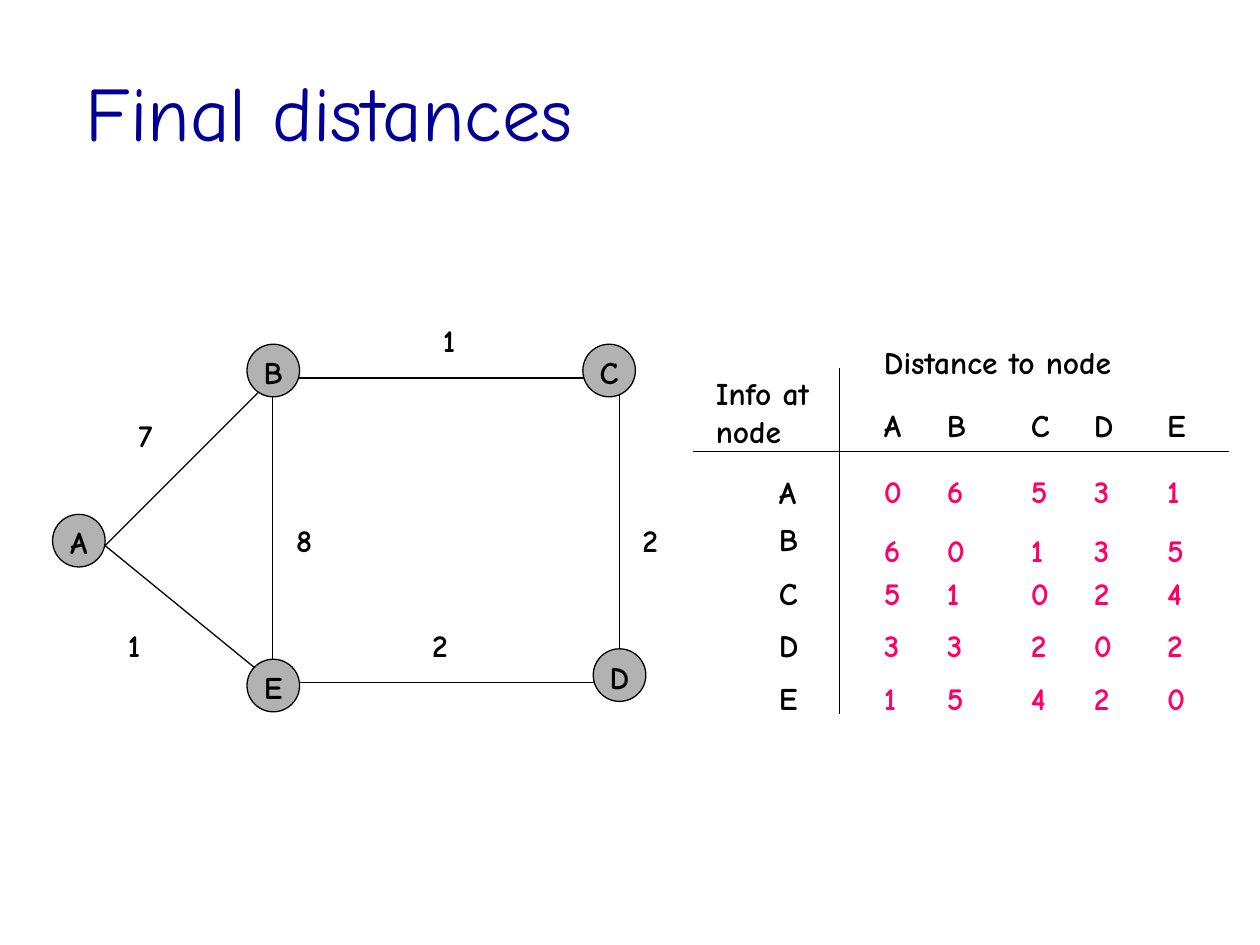
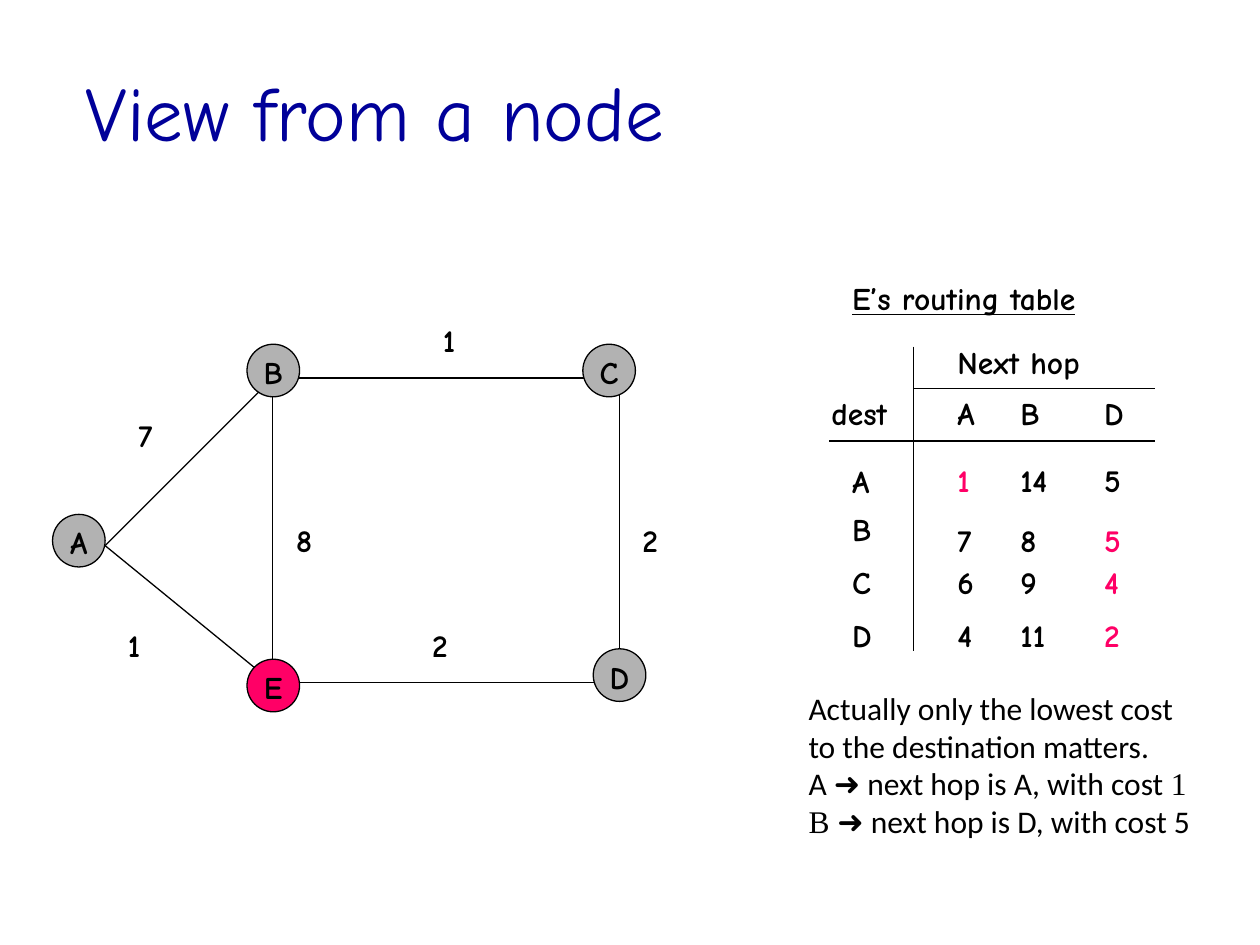
from pptx import Presentation
from pptx.dml.color import RGBColor
from pptx.enum.shapes import MSO_CONNECTOR as Line, MSO_SHAPE as Shape
from pptx.enum.text import MSO_ANCHOR as Anchor, PP_ALIGN as Align
from pptx.oxml.ns import qn
from pptx.util import Cm, Pt
from lxml import etree

HAND, SANS, SERIF = "Comic Neue", "Calibri", "Times New Roman"
BLACK, NAVY, GREY, PINK = "000000", "000099", "B2B2B2", "FF0066"
NO_GRID_STYLE = "{2D5ABB26-0587-4C30-8999-92F81FD0307C}"

NODE_SIZE = 1.06
NODES = {"A": (1.06, 10.37), "B": (4.98, 6.94), "C": (11.75, 6.94),
         "D": (11.96, 13.08), "E": (4.98, 13.29)}
EDGE_COSTS = [("7", 2.54, 8.26), ("1", 2.33, 12.5), ("1", 8.68, 6.35),
              ("2", 8.46, 12.5), ("2", 12.7, 10.37), ("8", 5.72, 10.37)]

TABLE_TOP = 6.78
ROWS = [1.27, 1.18, 0.94, 1.06, 1.06]
COLUMNS = [1.27, 1.69, 1.27, 1.48, 1.5]
LABEL_TOPS = [0.5, 0.19, 0.09, 0.21, 0.21]
COST_TOPS = [0.48, 0.41, 0.09, 0.21, 0.21]


def rgb(value):
    return RGBColor.from_string(value)


def style(font, size=18, name=HAND, color=BLACK, bold=True):
    font.size, font.name, font.bold = Pt(size), name, bold
    font.color.rgb = rgb(color)


def add_box(page, text, left, top, width, height=1.02, **font):
    box = page.shapes.add_textbox(Cm(left), Cm(top), Cm(width), Cm(height))
    box.text_frame.word_wrap = True
    box.text_frame.text = text
    for para in box.text_frame.paragraphs:
        style(para.font, **font)
    return box


def add_line(page, x1, y1, x2, y2):
    line = page.shapes.add_connector(Line.STRAIGHT, Cm(x1), Cm(y1), Cm(x2), Cm(y2))
    line.line.color.rgb = rgb(BLACK)
    line.line.width = Pt(0.75)
    etree.SubElement(line.element.spPr, qn("a:effectLst"))


def add_outlined(page, kind, left, top, width, height, fill=None):
    shape = page.shapes.add_shape(kind, Cm(left), Cm(top), Cm(width), Cm(height))
    shape.shadow.inherit = False
    shape.line.color.rgb = rgb(BLACK)
    shape.line.width = Pt(0.75)
    if fill:
        shape.fill.solid()
        shape.fill.fore_color.rgb = rgb(fill)
    else:
        shape.fill.background()
    return shape


def add_node(page, name, fill):
    node = add_outlined(page, Shape.OVAL, *NODES[name], NODE_SIZE, NODE_SIZE, fill)
    frame = node.text_frame
    frame.margin_left = frame.margin_right = frame.margin_bottom = 0
    frame.margin_top = Cm(0.07)
    frame.vertical_anchor = Anchor.MIDDLE
    frame.word_wrap = False
    para = frame.paragraphs[0]
    para.text = name
    para.alignment = Align.CENTER
    style(para.font)


def add_network(page, highlighted=""):
    add_outlined(page, Shape.RECTANGLE, 5.5, 7.62, 6.99, 6.14)
    add_line(page, 5.5, 7.62, 2.12, 11)
    add_line(page, 2.12, 11, 5.5, 13.76)
    for name in NODES:
        add_node(page, name, PINK if name in highlighted else GREY)
    for cost, left, top in EDGE_COSTS:
        add_box(page, cost, left, top, 0.89)


def fill_cell(cell, text, left=0.25, top=0.19, color=BLACK):
    cell.fill.background()
    cell.margin_left, cell.margin_top = Cm(left), Cm(top)
    cell.margin_right = cell.margin_bottom = 0
    cell.text = text
    style(cell.text_frame.paragraphs[0].font, color=color)


def add_distances(page, left, label_width, label_inset, head_rows, corner, heading,
                  names, costs, lowest_only=False):
    """Add a table of costs, with pink for all of them or the lowest of each row."""
    widths = [label_width, *COLUMNS[:len(names)]]
    heights = [*head_rows, *ROWS[:len(costs)]]
    frame = page.shapes.add_table(len(heights), len(widths), Cm(left), Cm(TABLE_TOP),
                                  Cm(sum(widths)), Cm(sum(heights)))
    table = frame.table
    table.first_row = table.horz_banding = False
    frame.element.find(".//" + qn("a:tableStyleId")).text = NO_GRID_STYLE
    for column, width in zip(table.columns, widths):
        column.width = Cm(width)
    for row, height in zip(table.rows, heights):
        row.height = Cm(height)

    for index, name in enumerate([corner, *names]):
        fill_cell(table.cell(0, index), "")
        fill_cell(table.cell(1, index), name)
    table.cell(0, 1).merge(table.cell(0, len(names)))
    fill_cell(table.cell(0, 1), heading)

    for index, (name, row) in enumerate(costs.items()):
        fill_cell(table.cell(index + 2, 0), name, label_inset, LABEL_TOPS[index])
        for column, cost in enumerate(row, 1):
            pink = not lowest_only or cost == min(row)
            fill_cell(table.cell(index + 2, column), str(cost),
                      top=COST_TOPS[index], color=PINK if pink else BLACK)


def add_note(page, left, top, width, height, paragraphs):
    """Add paragraphs of (text, font name) spans."""
    box = page.shapes.add_textbox(Cm(left), Cm(top), Cm(width), Cm(height))
    frame = box.text_frame
    frame.word_wrap = True
    for index, spans in enumerate(paragraphs):
        para = frame.add_paragraph() if index else frame.paragraphs[0]
        for text, name in spans:
            for number, part in enumerate(text.split("\n")):
                if number:
                    para.add_line_break()
                span = para.add_run()
                span.text = part
                style(span.font, name=name, bold=False)


def add_page(deck, title):
    page = deck.slides.add_slide(deck.slide_layouts[6])
    box = add_box(page, title, 1.48, 0.64, 21.59, 3.18, size=44, color=NAVY, bold=False)
    box.text_frame.vertical_anchor = Anchor.MIDDLE
    return page


def add_final_distances(deck):
    page = add_page(deck, "Final distances")
    add_network(page)
    add_distances(page, 14.17, 3.4, 1.53, [1.27, 1.04], "", "Distance to node", "ABCDE",
                  {"A": [0, 6, 5, 3, 1], "B": [6, 0, 1, 3, 5], "C": [5, 1, 0, 2, 4],
                   "D": [3, 3, 2, 0, 2], "E": [1, 5, 4, 2, 0]})
    add_box(page, "Info at\nnode", 14.18, 7.41, 2.77, 1.78)
    add_line(page, 13.97, 9.1, 24.77, 9.1)
    add_line(page, 16.93, 7.41, 16.93, 14.39)


def add_node_view(deck):
    page = add_page(deck, "View from a node")
    add_network(page, highlighted="E")
    title = add_box(page, "E’s routing table", 16.93, 5.5, 5.8)
    title.text_frame.paragraphs[0].font.underline = True
    add_distances(page, 16.51, 2.54, 0.67, [1.04, 1.06], "dest", "Next hop", "ABD",
                  {"A": [1, 14, 5], "B": [7, 8, 5], "C": [6, 9, 4], "D": [4, 11, 2]},
                  lowest_only=True)
    add_line(page, 16.72, 8.89, 23.28, 8.89)
    add_line(page, 18.42, 6.99, 18.42, 13.12)
    add_line(page, 18.42, 7.83, 23.28, 7.83)
    add_note(page, 16.05, 13.76, 9.2, 3.33, [
        [("Actually only the lowest cost\nto the destination matters.", SANS)],
        [("A ➜ next hop is A, with cost ", SANS), ("1", SERIF)],
        [("B ", SERIF), ("➜ next hop is D, with cost 5", SANS)],
    ])


def main():
    deck = Presentation()
    deck.slide_width, deck.slide_height = Cm(25.4), Cm(19.05)
    add_final_distances(deck)
    add_node_view(deck)
    deck.save("out.pptx")


if __name__ == "__main__":
    main()
